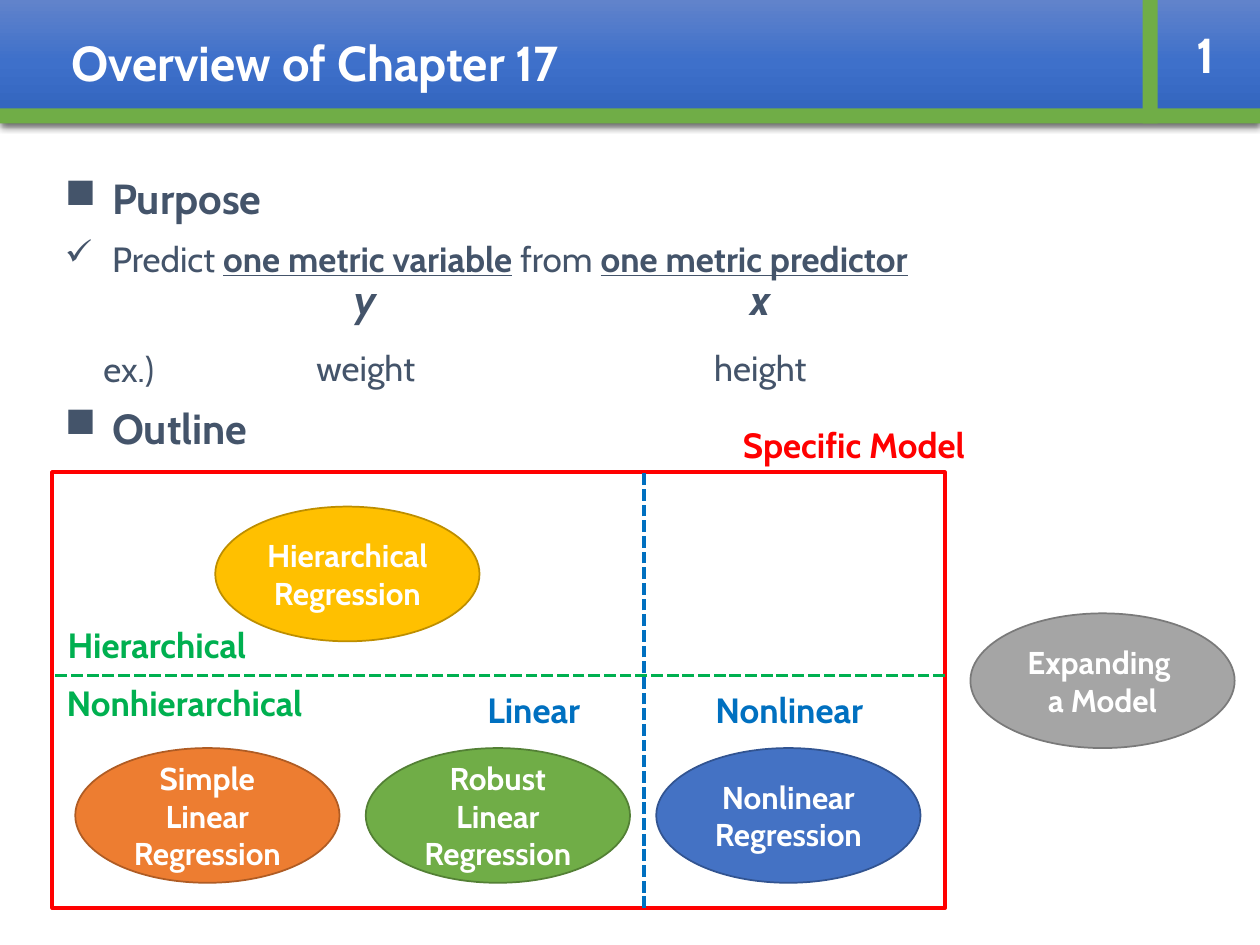
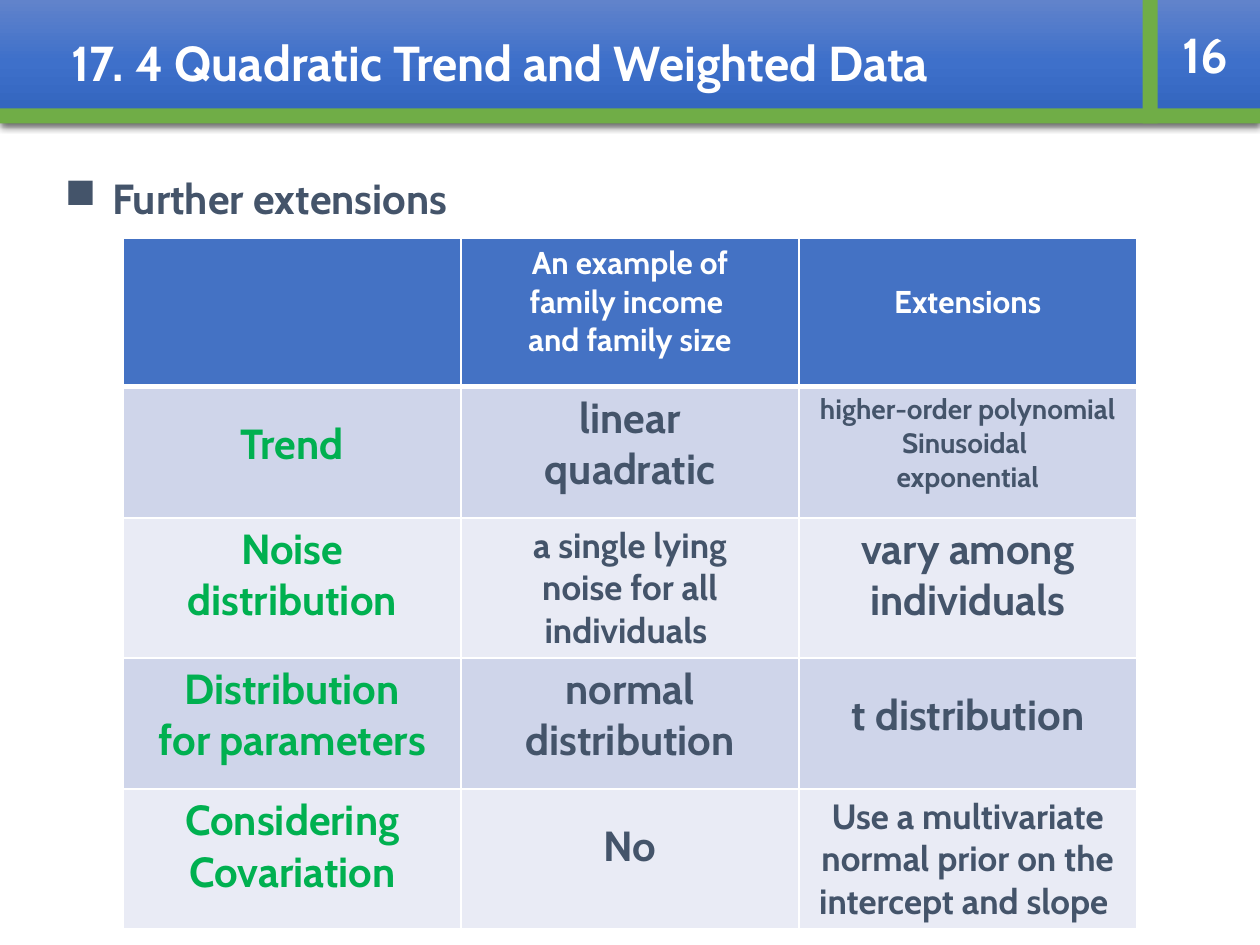
from copy import deepcopy
from dataclasses import dataclass

from lxml.etree import SubElement
from pptx import Presentation
from pptx.dml.color import RGBColor
from pptx.enum.dml import MSO_LINE_DASH_STYLE as Dash
from pptx.enum.shapes import MSO_CONNECTOR as Connector, MSO_SHAPE as Preset
from pptx.enum.text import MSO_ANCHOR as Anchor, MSO_AUTO_SIZE as AutoSize, PP_ALIGN as Align
from pptx.oxml.ns import qn
from pptx.util import Pt


@dataclass(frozen=True)
class Theme:
    font: str = "Cabin"
    white: str = "FFFFFF"
    ink: str = "44546A"
    blue: str = "4472C4"
    band: tuple = ("6183CB", "3E70CA", "3062BB")
    stripe: str = "70AD47"
    red: str = "FF0000"
    axis_blue: str = "0070C0"
    green: str = "00B050"
    row_tints: tuple = ("CFD5EA", "E9EBF5")
    title: int = 28
    heading: int = 24
    body: int = 20
    node: int = 18
    small: int = 16
    spacer: float = 14.6


T = Theme()
MARGIN = 30
PLAIN, KEY = {"bold": False}, {"bold": True, "underline": True}
HEADING = {"bold": True, "size": T.heading}

OVERVIEW = {
    "title": "Overview of Chapter 17",
    "number": "1",
    "body_size": (659, 178),
    "body": [
        ("■", 7.5, [("Purpose", HEADING)]),
        ("✓", 7.5, [("Predict ", PLAIN), ("one metric variable", KEY), (" from ", PLAIN),
                    ("one metric predictor", KEY)]),
        (None, 39, [("ex.)", PLAIN)]),
        ("■", 7.5, [("Outline", HEADING)]),
    ],
}
EXTENSIONS = {
    "title": "17. 4 Quadratic Trend and Weighted Data",
    "number": "16",
    "body_size": (690, 441),
    "body": [("■", 7.5, [("Further extensions", HEADING)])],
}

VARIABLE = {"size": T.heading, "bold": True, "italic": True}
EXAMPLE = {"size": T.body}
AXIS = {"size": T.body, "bold": True}
LABELS = [
    ("x", 402.5, 152.5, 64, T.ink, VARIABLE, Align.CENTER),
    ("y", 177, 152.5, 64, T.ink, VARIABLE, Align.CENTER),
    ("weight", 144.5, 194.5, 129, T.ink, EXAMPLE, Align.CENTER),
    ("height", 391, 194.5, 87, T.ink, EXAMPLE, Align.CENTER),
    ("Specific Model", 402.5, 238.5, 171, T.red, AXIS, Align.CENTER),
    ("Linear", 219.5, 390, 171, T.axis_blue, AXIS, Align.CENTER),
    ("Nonlinear", 387.5, 390, 127, T.axis_blue, AXIS, Align.CENTER),
    ("Nonhierarchical", 31, 386, 171, T.green, AXIS, Align.LEFT),
    ("Hierarchical", 31.5, 353, 171, T.green, AXIS, Align.LEFT),
]

NODE_SIZE = (151, 77)
BASE_LEFT, BASE_TOP, BASE_STEP = 43, 427.5, 166
BASE_MODELS = [
    (["Simple Linear", "Regression"], "ED7D31", "AF5C24"),
    (["Robust Linear", "Regression"], "70AD47", "538035"),
    (["Nonlinear", "Regression"], T.blue, "325491"),
]
OTHER_MODELS = [
    (["Hierarchical ", "Regression"], "FFC000", "BD8E00", 123, 289.5),
    (["Expanding ", "a Model"], "A5A5A5", "7A7A7A", 554.5, 350.5),
]
FRAME = (MARGIN, 270, 510, 249)
LINEAR_SPLIT, HIERARCHY_SPLIT = 368, 386

HEADER = [
    ([], T.node, 0),
    (["An example of", "family income ", "and family size"], T.node, 0),
    (["Extensions"], T.node, 22),
]
ROWS = [
    [(["Trend"], T.heading, T.spacer), (["linear", "quadratic"], T.heading, 0),
     (["higher-order polynomial", "Sinusoidal ", "exponential"], T.small, 0)],
    [(["Noise distribution"], T.heading, 0),
     (["a single lying", "noise for all individuals "], T.body, 0),
     (["vary among individuals"], T.heading, 0)],
    [(["Distribution", "for parameters"], T.heading, 0), (["normal distribution"], T.heading, 0),
     (["t distribution"], T.heading, T.spacer)],
    [(["Considering", "Covariation"], T.heading, 0), (["No"], T.heading, T.spacer),
     (["Use a multivariate normal prior on the intercept and slope "], T.body, 0)],
]
TABLE_LEFT, TABLE_TOP, COLUMN_WIDTH = 70.5, 136, 193
ROW_HEIGHTS = (85, 75, 80, 75, 80)


def rgb(colour):
    return RGBColor.from_string(colour)


def apply(target, values):
    for name, value in values.items():
        setattr(target, name, value)


def add_run(paragraph, text, colour, size, **look):
    run = paragraph.add_run()
    run.text = text
    apply(run.font, {"name": T.font, "size": Pt(size), **look})
    run.font.color.rgb = rgb(colour)


def write_lines(frame, lines, colour, size, align=Align.CENTER, **look):
    for i, line in enumerate(lines):
        paragraph = frame.add_paragraph() if i else frame.paragraphs[0]
        paragraph.alignment = align
        add_run(paragraph, line, colour, size, **look)


def add_text(slide, *place):
    frame = slide.shapes.add_textbox(*map(Pt, place)).text_frame
    frame.word_wrap = True
    return frame


def add_block(slide, preset, place, fill=None, line=None, weight=1):
    block = slide.shapes.add_shape(preset, *map(Pt, place))
    block.shadow.inherit = False
    if fill:
        block.fill.solid()
        block.fill.fore_color.rgb = rgb(fill)
    else:
        block.fill.background()
    if line:
        block.line.color.rgb = rgb(line)
        block.line.width = Pt(weight)
    else:
        block.line.fill.background()
    return block


def style_band(band):
    band.fill.gradient()
    band.fill.gradient_angle = 270
    stops = band._element.spPr.find(".//" + qn("a:gsLst"))
    stops.append(deepcopy(stops[0]))
    for stop, position, colour in zip(band.fill.gradient_stops, (0, 0.5, 1), T.band):
        stop.position = position
        stop.color.rgb = rgb(colour)
    band.line.fill.background()
    band.shadow.inherit = False
    effects = band._element.spPr.find(qn("a:effectLst"))
    shadow = SubElement(effects, qn("a:outerShdw"), blurRad=str(Pt(4.5)), dist=str(Pt(1.5)),
                        dir="5400000", algn="ctr", rotWithShape="0")
    shade = SubElement(shadow, qn("a:srgbClr"), val="000000")
    SubElement(shade, qn("a:alpha"), val="63000")


def add_body(slide, size, items):
    frame = add_text(slide, MARGIN, 98.5, *size)
    for i, (bullet, before, runs) in enumerate(items):
        paragraph = frame.add_paragraph() if i else frame.paragraphs[0]
        paragraph.space_before = Pt(before)
        if i == 0:
            paragraph.line_spacing = 0.9
        properties = paragraph._p.get_or_add_pPr()
        if bullet:
            properties.set("marL", str(Pt(27)))
            properties.set("indent", str(-Pt(27)))
            SubElement(properties, qn("a:buChar"), char=bullet)
        else:
            properties.set("marL", str(Pt(22)))
        for text, look in runs:
            add_run(paragraph, text, T.ink, **{"size": T.body, **look})


def add_page(deck, content):
    slide = deck.slides.add_slide(deck.slide_layouts[5])
    title = slide.shapes.title
    apply(title, dict(zip(("left", "top", "width", "height"), map(Pt, (0, 0, 720, 70.5)))))
    style_band(title)
    apply(title.text_frame, {"auto_size": AutoSize.NONE, "word_wrap": True,
                             "vertical_anchor": Anchor.MIDDLE, "margin_left": Pt(41)})
    write_lines(title.text_frame, [content["title"]], T.white, T.title, Align.LEFT, bold=True)
    for place in ((0, 62, 720, 8.5), (653, 0, 8.5, 70.5)):
        add_block(slide, Preset.RECTANGLE, place, T.stripe)
    number = add_text(slide, 657.5, 0, 62.5, 62)
    number.vertical_anchor = Anchor.MIDDLE
    write_lines(number, [content["number"]], T.white, T.title, bold=True)
    add_body(slide, content["body_size"], content["body"])
    return slide


def add_split(slide, ends, colour):
    split = slide.shapes.add_connector(Connector.STRAIGHT, *map(Pt, ends))
    split.line.color.rgb = rgb(colour)
    apply(split.line, {"width": Pt(2.25), "dash_style": Dash.SQUARE_DOT})
    SubElement(split._element.spPr, qn("a:effectLst"))


def add_model_map(slide):
    base = [(*model, BASE_LEFT + i * BASE_STEP, BASE_TOP) for i, model in enumerate(BASE_MODELS)]
    for lines, fill, edge, left, top in base + OTHER_MODELS:
        node = add_block(slide, Preset.OVAL, (left, top, *NODE_SIZE), fill, edge)
        node.text_frame.vertical_anchor = Anchor.MIDDLE
        write_lines(node.text_frame, lines, T.white, T.node, bold=True)
    left, top, width, height = FRAME
    add_block(slide, Preset.RECTANGLE, FRAME, line=T.red, weight=2.25)
    add_split(slide, (LINEAR_SPLIT, top + height, LINEAR_SPLIT, top), T.axis_blue)
    add_split(slide, (left + width, HIERARCHY_SPLIT, left, HIERARCHY_SPLIT), T.green)
    for text, left, top, width, colour, look, align in LABELS:
        frame = add_text(slide, left, top, width, look["size"] * 1.2 + 7.2)
        write_lines(frame, [text], colour, align=align, **look)


def set_borders(cell, widths):
    properties = cell._tc.get_or_add_tcPr()
    for i, (side, width) in enumerate(widths.items()):
        edge = SubElement(properties, qn(f"a:ln{side}"), w=str(Pt(width)))
        fill = SubElement(edge, qn("a:solidFill"))
        SubElement(fill, qn("a:srgbClr"), val=T.white)
        properties.insert(i, edge)


def add_extension_table(slide):
    rows = [HEADER, *ROWS]
    place = (TABLE_LEFT, TABLE_TOP, COLUMN_WIDTH * len(HEADER), sum(ROW_HEIGHTS))
    table = slide.shapes.add_table(len(rows), len(HEADER), *map(Pt, place)).table
    for column in table.columns:
        column.width = Pt(COLUMN_WIDTH)
    for r, (row, height) in enumerate(zip(rows, ROW_HEIGHTS)):
        table.rows[r].height = Pt(height)
        for c, (lines, size, drop) in enumerate(row):
            cell = table.cell(r, c)
            cell.margin_top = Pt(3.6 + drop)
            cell.fill.solid()
            cell.fill.fore_color.rgb = rgb(T.row_tints[(r - 1) % 2] if r else T.blue)
            set_borders(cell, {"L": 1, "R": 1, "T": 3 if r == 1 else 1, "B": 1 if r else 3})
            colour = T.white if r == 0 else T.ink if c else T.green
            write_lines(cell.text_frame, lines, colour, size, bold=True)


def main():
    deck = Presentation()
    apply(deck, {"slide_width": Pt(720), "slide_height": Pt(540)})
    add_model_map(add_page(deck, OVERVIEW))
    add_extension_table(add_page(deck, EXTENSIONS))
    deck.save("out.pptx")


if __name__ == "__main__":
    main()
